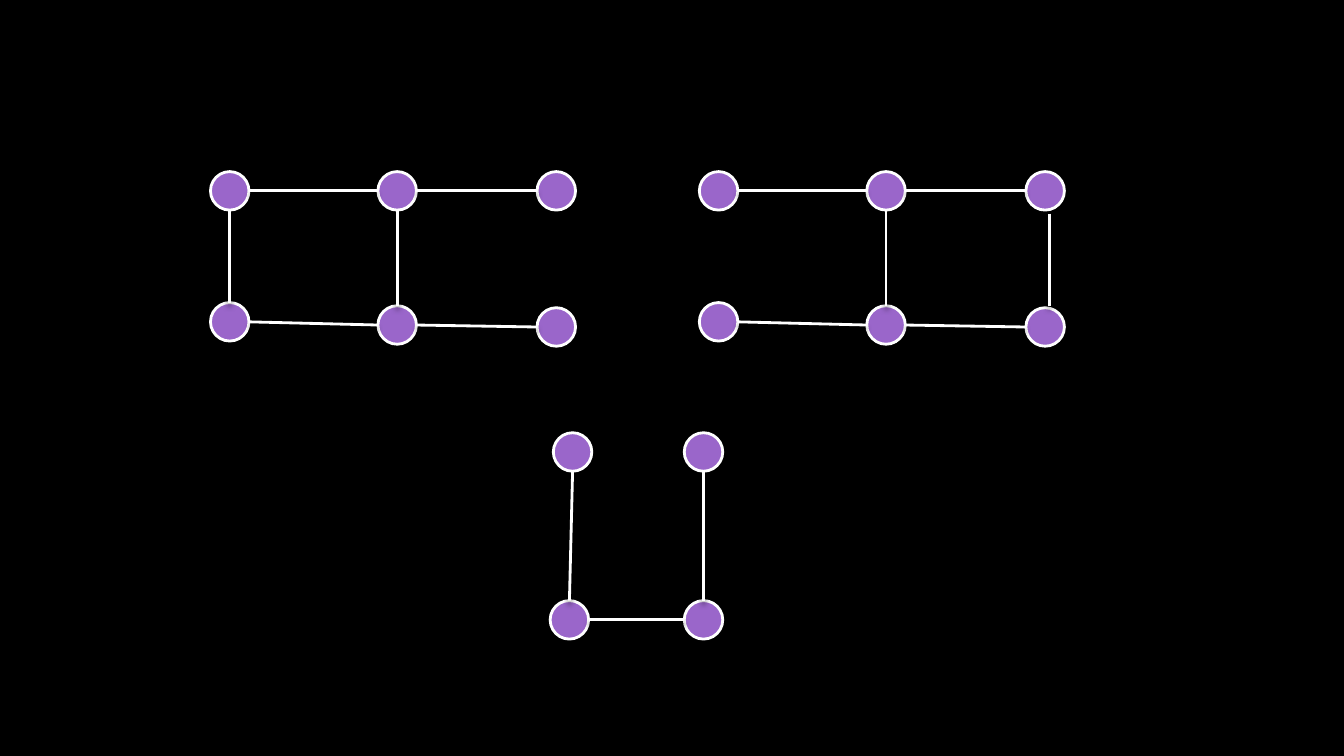
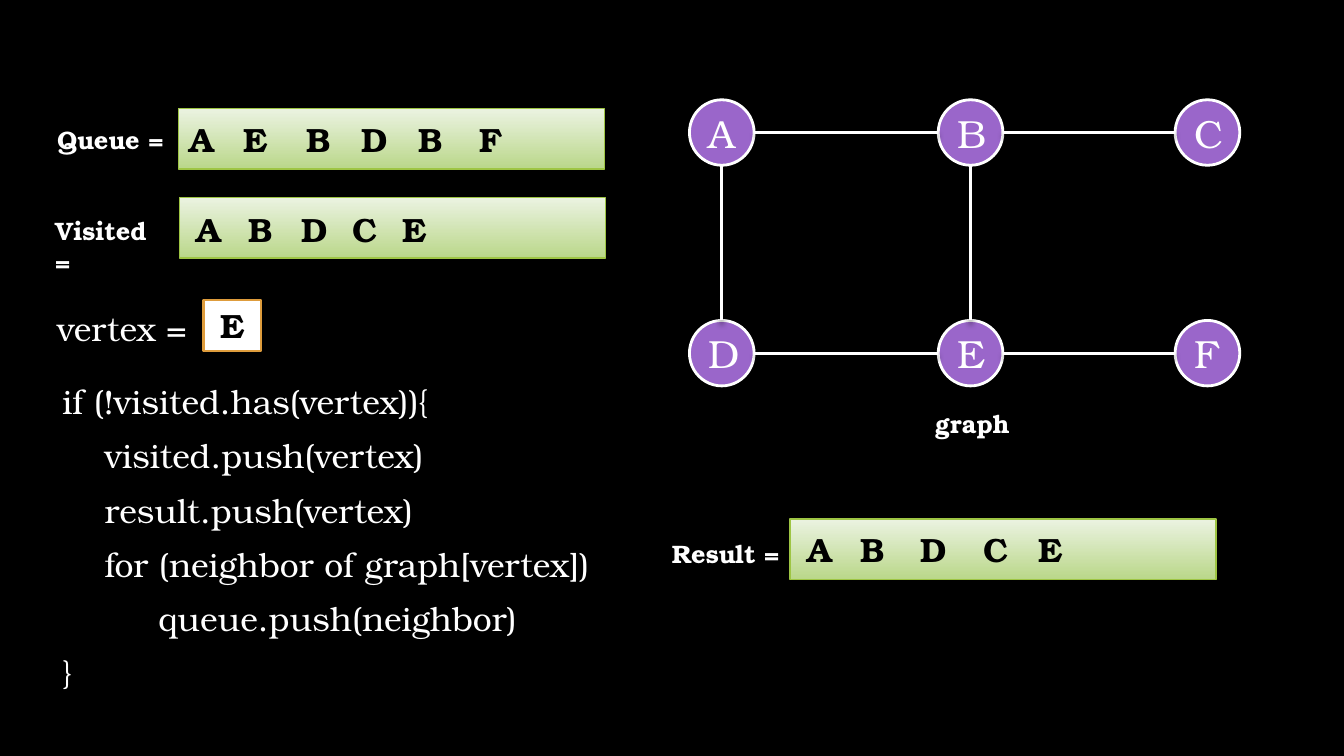
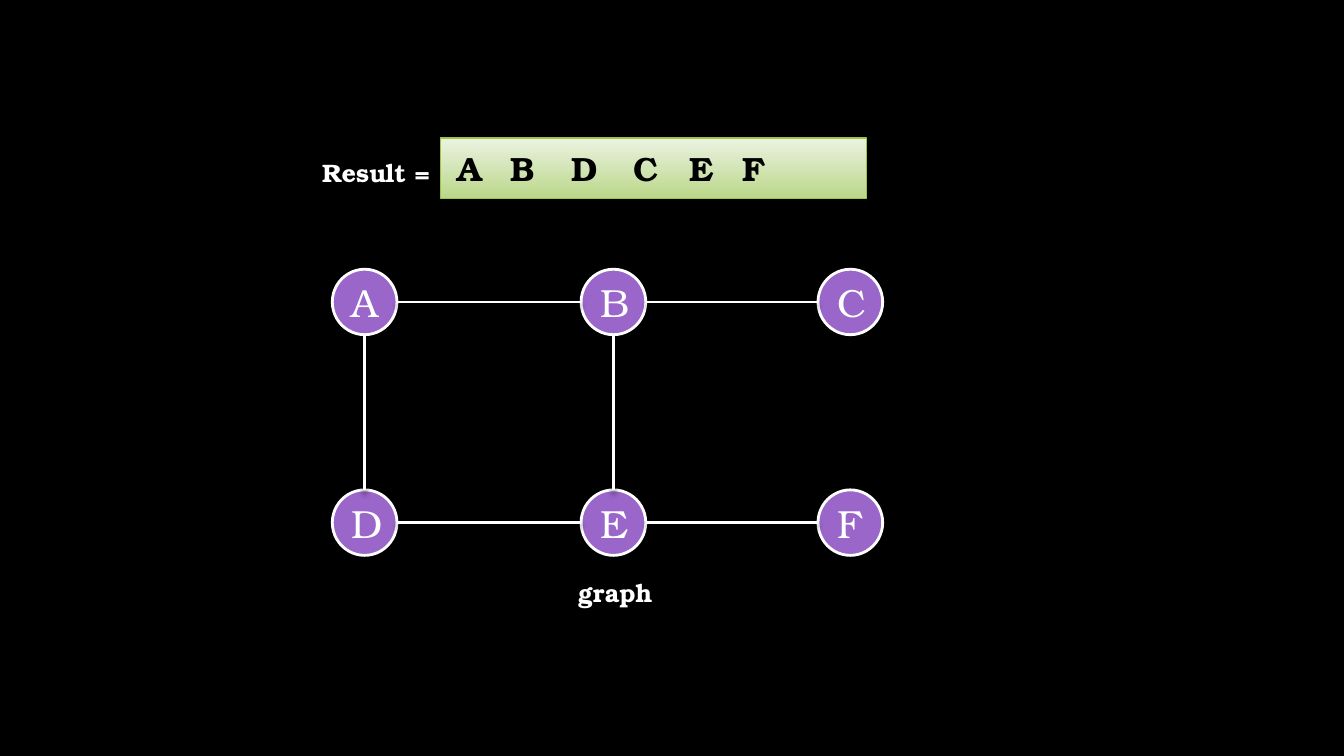
"""Build three slides on walking a graph breadth first."""
from lxml import etree
from pptx import Presentation
from pptx import util as u
from pptx.dml import color
from pptx.enum import shapes, text
from pptx.oxml import ns

FONT = "TeX Gyre Bonum"
BLACK, WHITE, PURPLE = "000000", "FFFFFF", "9A66CA"
BAR_TOP, BAR_BOTTOM, BAR_EDGE, VERTEX_EDGE = "EBF3E1", "BAD78A", "9EC544", "DE9C3C"

FORMATS = {
    "label": {"name": FONT, "size": u.Pt(18), "bold": True},
    "letter": {"name": FONT, "size": u.Pt(24), "bold": True},
    "code": {"name": FONT, "size": u.Pt(24), "bold": False},
    "node": {"name": FONT, "size": u.Pt(28), "bold": False},
}

SMALL_NODE = (0.97, 0.97)
BIG_NODE = (1.63, 1.65)
BIG_COLUMNS = (0, 6.27, 12.24)
BIG_ROWS = (0, 5.56)
BIG_EDGES = ("AB", "AD", "BE", "BC", "DE", "EF")
SMALL_COLUMNS = (0, 4.22, 8.23)
SMALL_DROPS = (3.3, 3.38, 3.43)
QUEUE_STEPS = (0.03, 1.4, 2.97, 4.37, 5.79, 7.34)
VISITED_STEPS = (0.18, 1.5, 2.82, 4.11, 5.38)
RESULT_STEPS = (0.18, 1.52, 3.05, 4.62, 6.02, 7.37)
CODE = (
    (0, "if (!visited.has(vertex)){"),
    (1.07, "visited.push(vertex)"),
    (1.07, "result.push(vertex)"),
    (1.07, "for (neighbor of graph[vertex])"),
    (2.42, "queue.push(neighbor)"),
    (0, "}"),
)


def rgb(value):
    """Return the colour for a hex string."""
    return color.RGBColor.from_string(value)


def write(paragraph, words, kind, ink):
    """Add a run of words in one of the named formats."""
    run = paragraph.add_run()
    run.text = words
    for name, value in FORMATS[kind].items():
        setattr(run.font, name, value)
    run.font.color.rgb = rgb(ink)


def add_frame(slide, left, top, width, height):
    """Add an empty wrapping text box and return its text frame."""
    frame = slide.shapes.add_textbox(u.Cm(left), u.Cm(top), u.Cm(width), u.Cm(height)).text_frame
    frame.word_wrap = True
    return frame


def add_label(slide, words, left, top, width):
    """Add a bold white caption."""
    write(add_frame(slide, left, top, width, 1.02).paragraphs[0], words, "label", WHITE)


def add_letter(slide, letter, left, top):
    """Add one bold black vertex name."""
    write(add_frame(slide, left, top, 1.17, 1.27).paragraphs[0], letter, "letter", BLACK)


def add_figure(slide, preset, place, edge, weight, fill=None):
    """Add an outlined preset shape, with a solid fill if one is given."""
    figure = slide.shapes.add_shape(preset, *(u.Cm(length) for length in place))
    figure.shadow.inherit = False
    figure.line.color.rgb = rgb(edge)
    figure.line.width = u.Pt(weight)
    if fill:
        figure.fill.solid()
        figure.fill.fore_color.rgb = rgb(fill)
    return figure


def add_node(slide, center, size, letter=""):
    """Add a purple vertex around its centre."""
    place = (center[0] - size[0] / 2, center[1] - size[1] / 2, *size)
    node = add_figure(slide, shapes.MSO_SHAPE.OVAL, place, WHITE, 2, PURPLE)
    if letter:
        node.text_frame.vertical_anchor = text.MSO_ANCHOR.MIDDLE
        node.text_frame.paragraphs[0].alignment = text.PP_ALIGN.CENTER
        write(node.text_frame.paragraphs[0], letter, "node", WHITE)


def add_edge(slide, start, end):
    """Add a white line with a soft shadow between two points."""
    ends = (u.Cm(length) for length in (*start, *end))
    edge = slide.shapes.add_connector(shapes.MSO_CONNECTOR.STRAIGHT, *ends)
    edge.line.color.rgb = rgb(WHITE)
    edge.line.width = u.Pt(2)
    effects = etree.SubElement(edge._element.spPr, ns.qn("a:effectLst"))
    shadow = etree.SubElement(effects, ns.qn("a:outerShdw"), blurRad=str(u.Pt(4)),
                              dist=str(u.Pt(3)), dir="5400000", rotWithShape="0")
    ink = etree.SubElement(shadow, ns.qn("a:srgbClr"), val=BLACK)
    etree.SubElement(ink, ns.qn("a:alpha"), val="54000")


def rim_points(start, end, size):
    """Return where an edge leaves one vertex and reaches the next."""
    across, down = end[0] - start[0], end[1] - start[1]
    axis = 0 if abs(across) > abs(down) else 1
    reach = size[axis] / 2 * (1 if (across, down)[axis] > 0 else -1)
    shift = (reach, 0) if axis == 0 else (0, reach)
    return ((start[0] + shift[0], start[1] + shift[1]),
            (end[0] - shift[0], end[1] - shift[1]))


def add_graph(slide, centers, edges, size, lettered=False):
    """Add the vertices of a graph and the edges that join them."""
    for letter, center in centers.items():
        add_node(slide, center, size, letter if lettered else "")
    for start, end in edges:
        add_edge(slide, *rim_points(centers[start], centers[end], size))


def add_lettered_graph(slide, left, top):
    """Add the captioned graph from A to F, with A centred at the given point."""
    places = [(left + column, top + row) for row in BIG_ROWS for column in BIG_COLUMNS]
    add_graph(slide, dict(zip("ABCDEF", places)), BIG_EDGES, BIG_NODE, lettered=True)
    add_label(slide, "graph", left + 5.13, top + 6.82, 2.54)


def add_list(slide, caption, letters, steps, bar, label, rise):
    """Add a captioned green bar that holds vertex names."""
    left, top = bar
    box = add_figure(slide, shapes.MSO_SHAPE.RECTANGLE, (left, top, 10.74, 1.52), BAR_EDGE, 1)
    box.fill.gradient()
    box.fill.gradient_angle = 270
    for stop, shade in zip(box.fill.gradient_stops, (BAR_TOP, BAR_BOTTOM)):
        stop.color.rgb = rgb(shade)
    add_label(slide, caption, left + label[0], top + label[1], label[2])
    for letter, step in zip(letters, steps):
        add_letter(slide, letter, left + step, top + rise)


def add_result(slide, letters, left, top):
    """Add the list of results."""
    add_list(slide, "Result =", letters, RESULT_STEPS, (left, top), (-3.23, 0.36, 3.48), 0.13)


def add_code(slide):
    """Add the code of one step of the walk."""
    frame = add_frame(slide, 1.32, 9.47, 13.92, 8.94)
    for number, (indent, words) in enumerate(CODE):
        line = frame.add_paragraph() if number else frame.paragraphs[0]
        line.space_before = u.Pt(10)
        line._p.get_or_add_pPr().set("marL", str(u.Cm(indent)))
        write(line, words, "code", WHITE)


def add_vertex(slide, letter):
    """Add the current vertex in its white box."""
    add_figure(slide, shapes.MSO_SHAPE.RECTANGLE, (5.13, 7.57, 1.45, 1.27), VERTEX_EDGE, 1.5, WHITE)
    add_letter(slide, letter, 5.31, 7.57)
    line = add_frame(slide, 1.19, 7.42, 9.73, 1.68).paragraphs[0]
    line.line_spacing = 1.2
    line.space_before = u.Pt(10)
    write(line, "vertex =", "code", WHITE)


def build_shapes(slide):
    """Draw three plain graphs."""
    for left, edges in ((5.79, BIG_EDGES), (18.11, ("AB", "BE", "BC", "DE", "EF"))):
        upper = [(left + column, 4.81) for column in SMALL_COLUMNS]
        lower = [(left + column, 4.81 + drop) for column, drop in zip(SMALL_COLUMNS, SMALL_DROPS)]
        add_graph(slide, dict(zip("ABCDEF", upper + lower)), edges, SMALL_NODE)
    add_edge(slide, (26.44, 5.38), (26.44, 7.7))
    cup = {"A": (17.73, 11.39), "B": (17.73, 15.62), "C": (14.35, 15.62), "D": (14.43, 11.39)}
    add_graph(slide, cup, ("AB", "BC", "DC"), SMALL_NODE)


def build_step(slide):
    """Show the lists while vertex E is visited."""
    add_code(slide)
    add_lettered_graph(slide, 18.19, 3.34)
    add_list(slide, "Queue =", "AEBDBF", QUEUE_STEPS, (4.5, 2.74), (-3.31, 0.26, 3.35), 0.13)
    add_list(slide, "Visited =", "ABDCE", VISITED_STEPS, (4.52, 4.98), (-3.38, 0.33, 3.35), 0.15)
    add_vertex(slide, "E")
    add_result(slide, "ABDCE", 19.91, 13.08)


def build_result(slide):
    """Show the finished walk above its graph."""
    add_result(slide, "ABDCEF", 11.1, 3.48)
    add_lettered_graph(slide, 9.19, 7.61)


def main():
    """Build and save the presentation."""
    deck = Presentation()
    deck.slide_width, deck.slide_height = u.Cm(33.87), u.Cm(19.05)
    backdrop = deck.slide_master.background.fill
    backdrop.solid()
    backdrop.fore_color.rgb = rgb(BLACK)
    for build in (build_shapes, build_step, build_result):
        build(deck.slides.add_slide(deck.slide_layouts[6]))
    deck.save("out.pptx")


if __name__ == "__main__":
    main()
